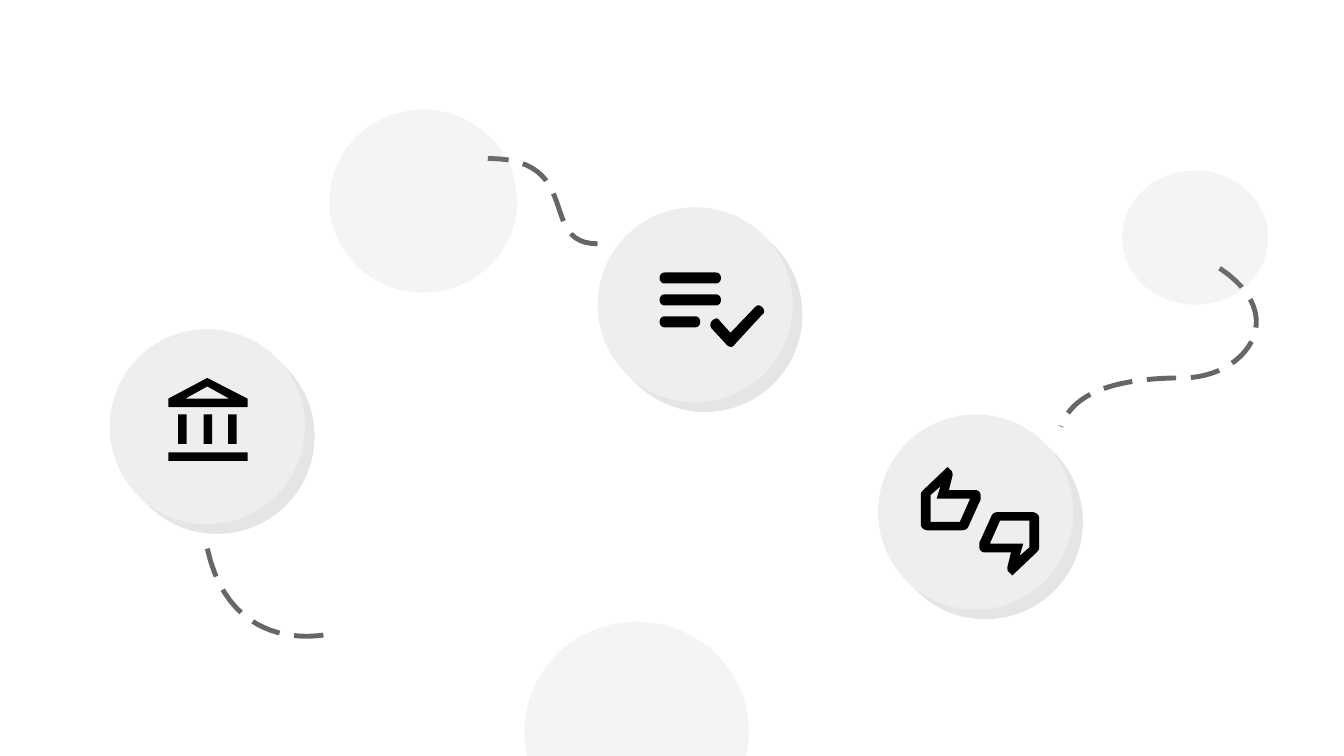
"""Builds a slide of three icon discs with dashed curves and pale circles."""
from lxml.etree import SubElement
from pptx import Presentation
from pptx.dml.color import RGBColor
from pptx.enum.shapes import MSO_SHAPE
from pptx.oxml.ns import qn
from pptx.util import Cm, Pt

DISC = RGBColor(0xEE, 0xEE, 0xEE)
PALE = RGBColor(0x8D, 0x99, 0xAE)
CURVE = RGBColor(0x66, 0x66, 0x66)
ICON = RGBColor(0x00, 0x00, 0x00)
UNIT = Cm(2.54)
CURVE_STEPS = 24


def add_circle(slide, left, top, width, height, color):
    circle = slide.shapes.add_shape(
        MSO_SHAPE.OVAL, *(round(length * UNIT) for length in (left, top, width, height)))
    circle.shadow.inherit = False
    circle.fill.solid()
    circle.fill.fore_color.rgb = color
    circle.line.fill.background()
    return circle


def add_outline(shapes, contours, closed):
    """Draws contours whose steps are points (x, y) or cubic curves of six numbers."""
    builder = None
    for contour in contours:
        points = [contour[0]]
        for step in contour[1:]:
            if len(step) == 2:
                points.append(step)
                continue
            x0, y0 = points[-1]
            x1, y1, x2, y2, x3, y3 = step
            for index in range(1, CURVE_STEPS + 1):
                t = index / CURVE_STEPS
                a, b, c, d = (1 - t) ** 3, 3 * t * (1 - t) ** 2, 3 * t * t * (1 - t), t ** 3
                points.append((a * x0 + b * x1 + c * x2 + d * x3,
                               a * y0 + b * y1 + c * y2 + d * y3))
        points = [(x * UNIT, y * UNIT) for x, y in points]
        if builder is None:
            builder = shapes.build_freeform(*points[0])
        else:
            builder.move_to(*points[0])
        builder.add_line_segments(points[1:], close=closed)
    outline = builder.convert_to_shape()
    outline.shadow.inherit = False
    if closed:
        outline.fill.solid()
        outline.fill.fore_color.rgb = ICON
        outline.line.fill.background()
    else:
        outline.fill.background()
    return outline


presentation = Presentation()
presentation.slide_width = Cm(27.99)
presentation.slide_height = Cm(15.75)
slide = presentation.slides.add_slide(presentation.slide_layouts[6])

for left, top in [(0.9, 2.7), (4.9, 1.7), (7.2, 3.4)]:
    disc = add_circle(slide, left, top, 1.6, 1.6, DISC)
    effects = disc.element.spPr.find(qn("a:effectLst"))
    shadow = SubElement(effects, qn("a:outerShdw"), blurRad="0", dist=str(Pt(8.1)),
                        dir="2700000", algn="bl", rotWithShape="0")
    shadow_color = SubElement(shadow, qn("a:srgbClr"), val="808080")
    SubElement(shadow_color, qn("a:alpha"), val="20000")

curves = [
    [(1.7, 4.5), (1.9, 5.4, 2.7, 5.2, 2.7, 5.2)],
    [(4.9, 2), (4.4, 2, 4.8, 1.3, 4, 1.3)],
    [(10, 2.2), (10.6, 2.6, 10.2, 3.1, 9.7, 3.1), (9.2, 3.1, 8.8, 3.2, 8.7, 3.5)],
]
for curve in curves:
    dashed = add_outline(slide.shapes, [curve], closed=False)
    dashed.line.color.rgb = CURVE
    dashed.line.width = Pt(2.89)
    line_properties = dashed.element.spPr.find(qn("a:ln"))
    dashes = SubElement(line_properties, qn("a:custDash"))
    SubElement(dashes, qn("a:ds"), d="600000", sp="300000")

for box in [(2.7, 0.9, 1.54, 1.5), (4.3, 5.1, 1.84, 1.8), (9.2, 1.4, 1.2, 1.1)]:
    circle = add_circle(slide, *box, PALE)
    color = circle.element.spPr.find(qn("a:solidFill"))[0]
    SubElement(color, qn("a:alpha"), val="10000")

bank = [
    [(1.7, 3.1), (1.38, 3.27), (1.38, 3.34), (2.03, 3.34), (2.03, 3.27)],
    [(1.88, 3.27), (1.52, 3.27), (1.7, 3.17)],
    [(1.38, 3.71), (2.03, 3.71), (2.03, 3.78), (1.38, 3.78)],
]
for left in (1.46, 1.67, 1.87):
    right = left + 0.07
    bank.append([(left, 3.4), (right, 3.4), (right, 3.64), (left, 3.64)])
add_outline(slide.shapes, bank, closed=True)

checklist = [[
    (6.25, 2.52), (6.27, 2.54, 6.27, 2.57, 6.25, 2.58),
    (6.02, 2.83), (6.01, 2.85, 5.98, 2.85, 5.96, 2.83),
    (5.84, 2.7), (5.82, 2.68, 5.82, 2.65, 5.84, 2.63),
    (5.84, 2.63, 5.88, 2.59, 5.9, 2.63), (5.99, 2.73),
    (6.19, 2.52), (6.21, 2.5, 6.23, 2.5, 6.25, 2.52),
]]
for top, right in [(2.235, 5.87), (2.415, 5.87), (2.595, 5.7)]:
    left, bottom = 5.45, top + 0.09
    checklist.append([
        (left, top), (right, top), (right + 0.055, top, right + 0.055, bottom, right, bottom),
        (left, bottom), (left - 0.055, bottom, left - 0.055, top, left, top),
    ])
add_outline(slide.shapes, checklist, closed=True)

thumb_up = [
    [(7.95, 4.1), (7.95, 4.09), (7.68, 4.09), (7.71, 3.99),
     (7.63, 4.06), (7.63, 4.28), (7.87, 4.28)],
    [(8, 4.02), (8.02, 4.02, 8.04, 4.04, 8.04, 4.06), (8.04, 4.1), (8.03, 4.12),
     (7.94, 4.32), (7.93, 4.34, 7.91, 4.35, 7.88, 4.35), (7.61, 4.35),
     (7.58, 4.35, 7.55, 4.33, 7.55, 4.3), (7.55, 4.06),
     (7.55, 4.04, 7.56, 4.03, 7.57, 4.02), (7.77, 3.83), (7.8, 3.86),
     (7.81, 3.87, 7.81, 3.88, 7.81, 3.9), (7.78, 4.02)],
]
turn_sums = (16.07, 8.55)
thumb_down = [
    [tuple(turn_sums[i % 2] - value for i, value in enumerate(step)) for step in contour]
    for contour in thumb_up
]
thumbs = slide.shapes.add_group_shape()
for thumb in (thumb_up, thumb_down):
    add_outline(thumbs.shapes, thumb, closed=True)

presentation.save("out.pptx")
